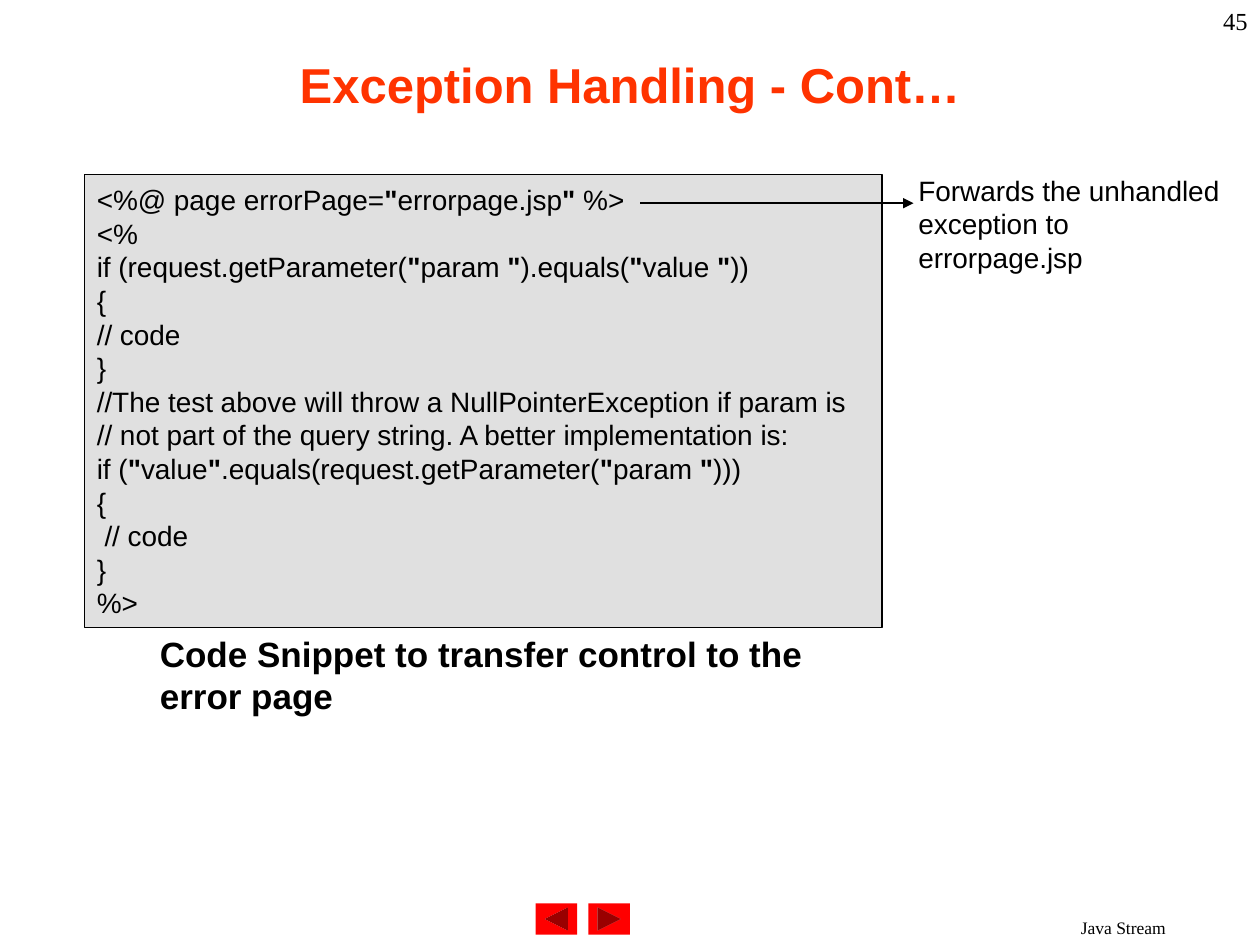
from itertools import groupby
from pptx import Presentation, util as u
from pptx.dml.color import RGBColor
from pptx.enum import shapes, text
from pptx.oxml.ns import qn
from lxml import etree

# Content
TITLE = "Exception Handling - Cont…"
PAGE = "45"
FOOTER = "Java Stream"
CAPTION = "Code Snippet to transfer control to the error page"
CALLOUT = "Forwards the unhandled exception to errorpage.jsp"
CODE = [
    '<%@ page errorPage="errorpage.jsp" %>',
    '<%',
    'if (request.getParameter("param ").equals("value "))',
    '{',
    '// code',
    '}',
    '//The test above will throw a NullPointerException if param is',
    '// not part of the query string. A better implementation is:',
    'if ("value".equals(request.getParameter("param ")))',
    '{',
    ' // code',
    '}',
    '%>',
]

# Theme
W, H = 10, 7.5
THEME = dict(
    sans="Arial", serif="Times New Roman",
    title=28, caption=20, body=16, page=14, footer=10,
    ink="000000", accent="FF3300", panel="E0E0E0", button="FF0000", rule=0.75,
)
AL, ANC = text.PP_ALIGN, text.MSO_ANCHOR

# Layout as shares of the slide: left, top, width, height
TITLE_BOX = (0.075, 0.011, 0.85, 0.156)
PAGE_BOX = (0.792, 0, 0.208, 0.067)
CODE_BOX = (0.067, 0.185, 0.633, 0.479)
CALLOUT_BOX = (0.719, 0.177, 0.267, 0.12)
CAPTION_BOX = (0.117, 0.663, 0.55, 0.103)
FOOTER_BOX = (0.783, 0.964, 0.217, 0.036)
BUTTON_BOX = (0.425, 0.956, 0.033, 0.033)
BUTTON_STEP = 0.042
ARROW = (0.508, 0.725, 0.215)


def place(box):
    x, y, w, h = box
    return [u.Inches(v) for v in (x * W, y * H, w * W, h * H)]


def color(key):
    return RGBColor.from_string(THEME[key])


def style(r, size, face="sans", ink="ink", bold=False):
    r.font.name, r.font.size, r.font.bold = THEME[face], u.Pt(THEME[size]), bold
    r.font.color.rgb = color(ink)


def add_text(s, box, words, size, align=AL.LEFT, anchor=ANC.TOP, **look):
    tf = s.shapes.add_textbox(*place(box)).text_frame
    tf.word_wrap, tf.vertical_anchor = True, anchor
    p = tf.paragraphs[0]
    p.text, p.alignment = words, align
    style(p.runs[0], size, **look)


def add_filled(s, kind, box, fill):
    sp = s.shapes.add_shape(kind, *place(box))
    sp.shadow.inherit = False
    sp.fill.solid()
    sp.fill.fore_color.rgb = color(fill)
    sp.line.fill.background()
    return sp


def add_code(s):
    sp = add_filled(s, shapes.MSO_SHAPE.RECTANGLE, CODE_BOX, "panel")
    sp.line.color.rgb, sp.line.width = color("ink"), u.Pt(THEME["rule"])
    tf = sp.text_frame
    tf.word_wrap, tf.vertical_anchor = True, ANC.MIDDLE
    for i, line in enumerate(CODE):
        p = tf.add_paragraph() if i else tf.paragraphs[0]
        p.alignment = AL.LEFT
        # Quote marks are bold, everything else is regular
        for bold, chars in groupby(line, key=lambda c: c == '"'):
            r = p.add_run()
            r.text = "".join(chars)
            style(r, "body", bold=bold)


def add_arrow(s):
    x1, x2, y = ARROW
    ends = [u.Inches(v) for v in (x1 * W, y * H, x2 * W, y * H)]
    ends[1] = ends[3] = u.Inches(y * H)
    c = s.shapes.add_connector(shapes.MSO_CONNECTOR.STRAIGHT, *ends)
    c.line.color.rgb, c.line.width = color("ink"), u.Pt(THEME["rule"])
    etree.SubElement(c.line._get_or_add_ln(), qn("a:tailEnd"), type="triangle")
    etree.SubElement(c._element.spPr, qn("a:effectLst"))


def main():
    prs = Presentation()
    prs.slide_width, prs.slide_height = u.Inches(W), u.Inches(H)
    s = prs.slides.add_slide(prs.slide_layouts[6])

    # Navigation buttons: back is the forward button turned around
    x, y, w, h = BUTTON_BOX
    for i, turn in enumerate((180, 0)):
        sp = add_filled(s, shapes.MSO_SHAPE.ACTION_BUTTON_FORWARD_OR_NEXT,
                        (x + i * BUTTON_STEP, y, w, h), "button")
        sp.rotation = turn

    # Footer, title and page number
    add_text(s, FOOTER_BOX, FOOTER, "footer", AL.CENTER, face="serif")
    add_text(s, TITLE_BOX, TITLE, "title", AL.CENTER, ANC.MIDDLE,
             ink="accent", bold=True)
    add_text(s, PAGE_BOX, PAGE, "page", AL.RIGHT, face="serif")

    # Code panel with its callout and caption
    add_code(s)
    add_text(s, CALLOUT_BOX, CALLOUT, "body")
    add_text(s, CAPTION_BOX, CAPTION, "caption", bold=True)
    add_arrow(s)

    prs.save("out.pptx")


if __name__ == "__main__":
    main()
